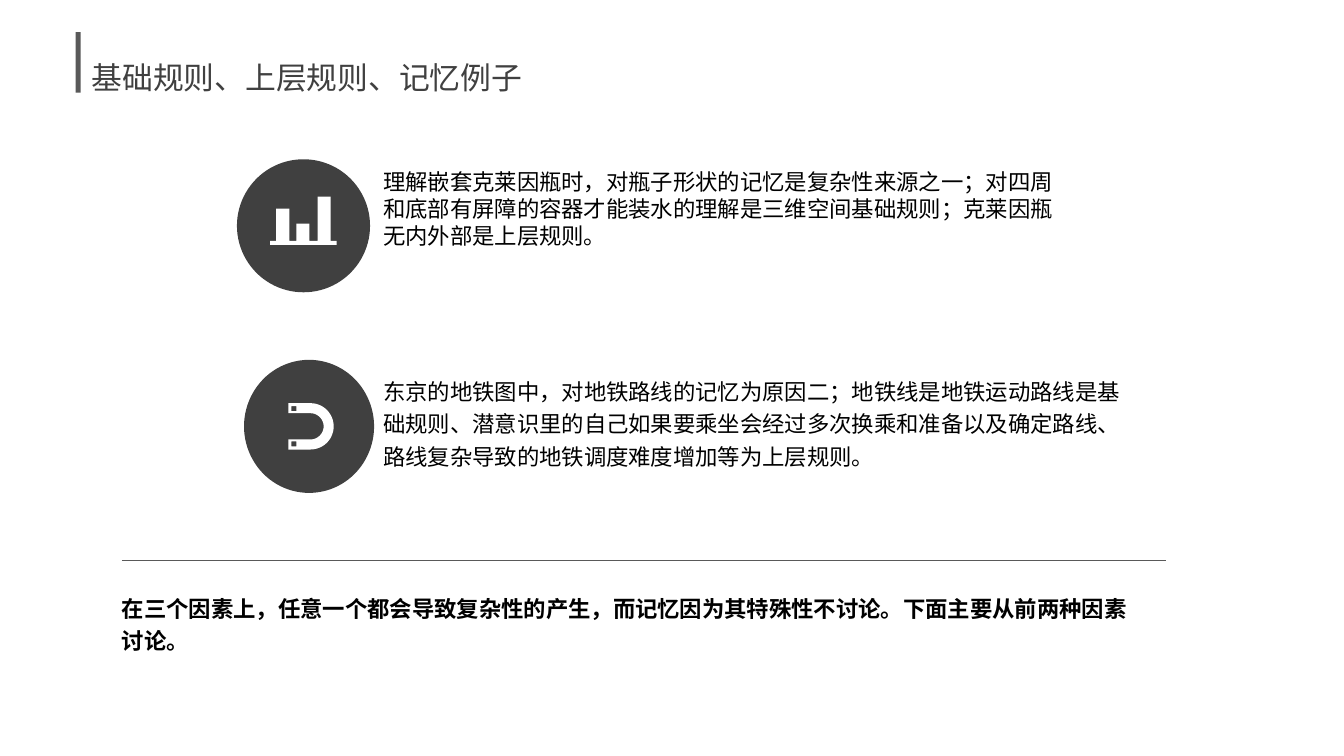
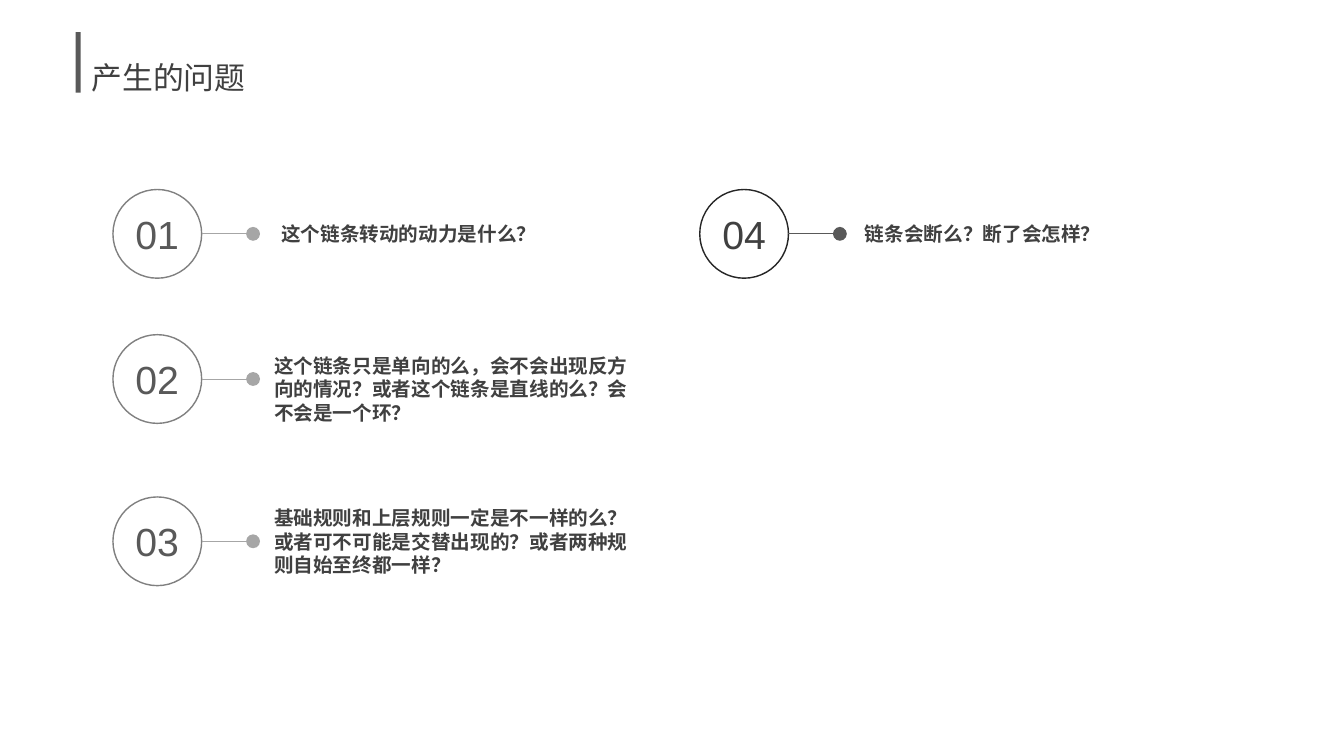
from math import cos, pi, sin

from lxml import etree
from pptx import Presentation
from pptx.dml.color import RGBColor
from pptx.enum.shapes import MSO_CONNECTOR, MSO_SHAPE
from pptx.enum.text import MSO_ANCHOR, PP_ALIGN
from pptx.oxml.ns import qn
from pptx.util import Inches, Pt

BLACK, INK, DARK, GREY = "000000", "262626", "404040", "595959"
MID, PALE, WHITE = "808080", "A6A6A6", "FFFFFF"
BODY, HEADING, DIGITS = "Calibri", "Noto Sans CJK SC", "Arial"

EXAMPLES_TITLE = "基础规则、上层规则、记忆例子"
# text, (left, top, width, height), line spacing
EXAMPLES = [
    ("理解嵌套克莱因瓶时，对瓶子形状的记忆是复杂性来源之一；对四周和底部有屏障的容器才能装水的理解是"
     "三维空间基础规则；克莱因瓶无内外部是上层规则。", (3.8, 1.67, 6.8, 0.81), 1),
    ("东京的地铁图中，对地铁路线的记忆为原因二；地铁线是地铁运动路线是基础规则、潜意识里的自己如果要乘坐"
     "会经过多次换乘和准备以及确定路线、路线复杂导致的地铁调度难度增加等为上层规则。",
     (3.8, 3.7, 7.35, 0.97), 1.2),
]
SUMMARY = "在三个因素上，任意一个都会导致复杂性的产生，而记忆因为其特殊性不讨论。下面主要从前两种因素讨论。"
BARS = [(2.74, 2.07), (2.94, 2.22), (3.15, 1.95)]  # left, top

QUESTIONS_TITLE = "产生的问题"
LIGHT_STYLE = (MID, PALE, GREY)  # ring, line, number
DARK_STYLE = (INK, GREY, DARK)
# text, ring (left, top), text (left, top), text height, style
QUESTIONS = [
    ("这个链条转动的动力是什么？", (1.12, 1.88), (2.69, 2.15), 0.34, LIGHT_STYLE),
    ("这个链条只是单向的么，会不会出现反方向的情况？或者这个链条是直线的么？会不会是一个环？",
     (1.12, 3.32), (2.62, 3.46), 0.81, LIGHT_STYLE),
    ("基础规则和上层规则一定是不一样的么？或者可不可能是交替出现的？或者两种规则自始至终都一样？",
     (1.12, 4.93), (2.62, 4.97), 0.81, LIGHT_STYLE),
    ("链条会断么？断了会怎样？", (6.94, 1.88), (8.48, 2.15), 0.34, DARK_STYLE),
]
RING, LINK, QUESTION_WIDTH = 0.88, 0.51, 3.88


def rgb(color):
    return RGBColor.from_string(color)


def style_shape(sp, fill=None, line=None):
    sp.shadow.inherit = False
    if fill:
        sp.fill.solid()
        sp.fill.fore_color.rgb = rgb(fill)
    else:
        sp.fill.background()
    if line:
        sp.line.color.rgb = rgb(line)
        sp.line.width = Pt(1)
    else:
        sp.line.fill.background()


def style_run(p, size, font, color, bold=False):
    r = p.runs[0]
    r.font.size, r.font.name, r.font.bold = Pt(size), font, bold
    r.font.color.rgb = rgb(color)
    # Chinese glyphs keep the line height of the body font
    ea = etree.Element(qn("a:ea"), typeface=BODY)
    r.font._element.find(qn("a:latin")).addnext(ea)


def add_text(slide, text, box, size, font, color, bold=False, spacing=1, inset=True):
    tf = slide.shapes.add_textbox(*map(Inches, box)).text_frame
    tf.word_wrap = True
    if not inset:
        tf.margin_left = tf.margin_right = tf.margin_top = tf.margin_bottom = 0
    tf.text = text
    p = tf.paragraphs[0]
    if spacing != 1:
        p.line_spacing = spacing
    style_run(p, size, font, color, bold)


def add_shape(shapes, kind, box, fill=None, line=None):
    sp = shapes.add_shape(kind, *map(Inches, box))
    style_shape(sp, fill, line)
    return sp


def add_outline(shapes, contours, fill):
    """Draw closed contours, given in inches, as one freeform; inner ones are holes."""
    contours = [[(round(x * 1000), round(y * 1000)) for x, y in c] for c in contours]
    builder = shapes.build_freeform(*contours[0][0], scale=Inches(1) / 1000)
    builder.add_line_segments(contours[0][1:], close=True)
    for contour in contours[1:]:
        builder.move_to(*contour[0])
        builder.add_line_segments(contour[1:], close=True)
    style_shape(builder.convert_to_shape(), fill)


def add_line(slide, x1, x2, y, color, dot=False):
    cn = slide.shapes.add_connector(
        MSO_CONNECTOR.STRAIGHT, Inches(x1), Inches(y), Inches(x2), Inches(y))
    cn.line.color.rgb = rgb(color)
    cn.line.width = Pt(0.5)
    if dot:
        etree.SubElement(cn.line._get_or_add_ln(), qn("a:tailEnd"),
                         type="oval", w="lg", len="lg")
    etree.SubElement(cn._element.spPr, qn("a:effectLst"))


def add_slide(prs, title):
    slide = prs.slides.add_slide(prs.slide_layouts[6])
    add_text(slide, title, (0.81, 0.53, 11, 0.47), 22, HEADING, DARK)
    add_shape(slide.shapes, MSO_SHAPE.RECTANGLE, (0.75, 0.32, 0.05, 0.6), GREY)
    return slide


def bar_chart_contours():
    left, right, base, bottom, width = 2.68, 3.34, 2.39, 2.43, 0.13
    points = [(left, bottom), (left, base)]
    for x, top in BARS:
        points += [(x, base), (x, top), (x + width, top), (x + width, base)]
    return [points + [(right, base), (right, bottom)]]


def magnet_contours():
    left, cx, cy, outer, inner, steps = 2.86, 3.08, 4.23, 0.23, 0.13, 24

    def half_circle(radius):
        angles = [pi * (i / steps - 0.5) for i in range(steps + 1)]
        return [(cx + radius * cos(a), cy + radius * sin(a)) for a in angles]

    body = [(left, cy - outer), *half_circle(outer), (left, cy + outer),
            (left, cy + inner), *reversed(half_circle(inner)), (left, cy - inner)]
    holes = [[(2.89, y), (2.89, y + 0.05), (2.94, y + 0.05), (2.94, y)]
             for y in (4.03, 4.38)]
    return [body, *holes]


def add_icon(slide, disc, contours):
    group = slide.shapes.add_group_shape()
    add_shape(group.shapes, MSO_SHAPE.FLOWCHART_CONNECTOR, disc, DARK)
    add_outline(group.shapes, contours, WHITE)


def build_examples(prs):
    slide = add_slide(prs, EXAMPLES_TITLE)
    add_icon(slide, (2.35, 1.58, 1.32, 1.32), bar_chart_contours())
    add_icon(slide, (2.42, 3.57, 1.29, 1.32), magnet_contours())
    for text, box, spacing in EXAMPLES:
        add_text(slide, text, box, 16, BODY, BLACK, spacing=spacing, inset=False)
    add_line(slide, 1.21, 11.56, 5.56, GREY)
    add_text(slide, SUMMARY, (1.21, 5.85, 10.18, 0.65), 16, BODY, BLACK,
             bold=True, spacing=1.2, inset=False)


def build_questions(prs):
    slide = add_slide(prs, QUESTIONS_TITLE)
    for number, (text, (x, y), corner, height, style) in enumerate(QUESTIONS, 1):
        ring_color, line_color, number_color = style
        ring = add_shape(slide.shapes, MSO_SHAPE.OVAL, (x, y, RING, RING), line=ring_color)
        tf = ring.text_frame
        tf.word_wrap = False
        tf.vertical_anchor = MSO_ANCHOR.MIDDLE
        tf.text = f"{number:02d}"
        p = tf.paragraphs[0]
        p.alignment = PP_ALIGN.CENTER
        style_run(p, 28, DIGITS, number_color)
        add_line(slide, x + RING, x + RING + LINK, y + RING / 2, line_color, dot=True)
        add_text(slide, text, (*corner, QUESTION_WIDTH, height), 14, HEADING, DARK, bold=True)


def main():
    prs = Presentation()
    prs.slide_width, prs.slide_height = Inches(13.33), Inches(7.5)
    build_examples(prs)
    build_questions(prs)
    prs.save("out.pptx")


if __name__ == "__main__":
    main()
